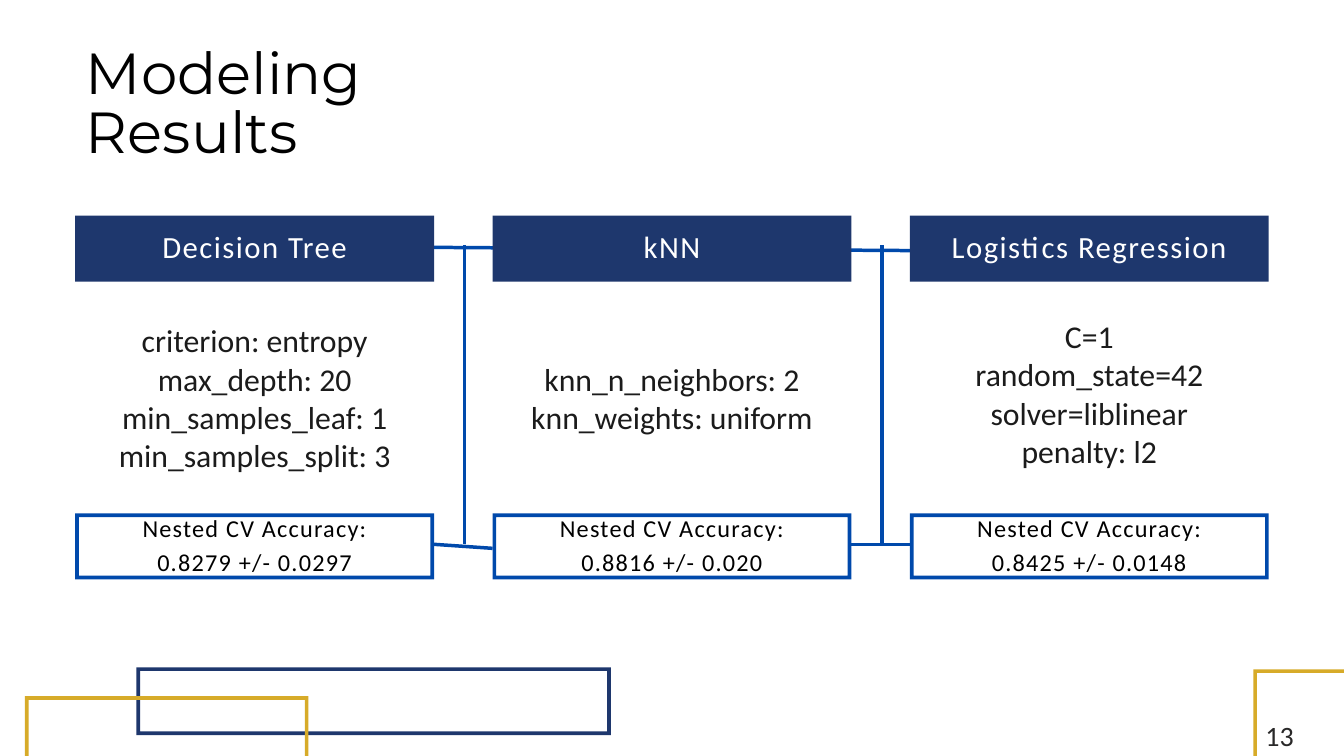
from pptx import Presentation
from pptx.dml.color import RGBColor
from pptx.enum.shapes import MSO_CONNECTOR, MSO_SHAPE
from pptx.enum.text import MSO_ANCHOR, PP_ALIGN
from pptx.oxml.ns import qn
from pptx.util import Inches, Pt
from lxml import etree

RECT, FRAME = MSO_SHAPE.RECTANGLE, MSO_SHAPE.FRAME
STRAIGHT = MSO_CONNECTOR.STRAIGHT
LEFT, CENTER, TOP = PP_ALIGN.LEFT, PP_ALIGN.CENTER, MSO_ANCHOR.TOP

# Grid: 80 columns by 45 rows of square cells
COLS, ROWS, CELL = 80, 45, 0.25
EDGE = 0.22  # frame thickness in cells

NAVY, BLUE, GOLD = "1E376D", "0049AB", "D7AB29"

# name: font size, font, colour, line pitch, alignment, letter spacing
STYLES = {
    "title": (62, "Montserrat", "000000", 63.2, LEFT, 0),
    "head": (33, "Calibri", "FFFFFF", 46.2, CENTER, 1.6),
    "body": (34, "Calibri", "1B1B1B", 40.8, CENTER, 0),
    "score": (26, "Calibri", "000000", 36.4, CENTER, 1.3),
    "page": (30, "Calibri", "292828", 42, LEFT, 0),
}

MODELS = [
    ("Decision Tree", 19.12,
     ["criterion: entropy", "max_depth: 20",
      "min_samples_leaf: 1", "min_samples_split: 3"],
     "0.8279 +/- 0.0297"),
    ("kNN", 21.44,
     ["knn_n_neighbors: 2", "knn_weights: uniform"],
     "0.8816 +/- 0.020"),
    ("Logistics Regression", 18.88,
     ["C=1", "random_state=42", "solver=liblinear", "penalty: l2"],
     "0.8425 +/- 0.0148"),
]
START, WIDTH, PITCH = 4.48, 21.36, 24.84  # model columns
PAD = 0.74                                # text inset in a column


def color(code):
    return RGBColor.from_string(code)


def cells(*counts):
    return [Inches(n * CELL) for n in counts]


class Deck:
    """Holds the text styles and the current slide; lengths are in cells."""

    def __init__(self, styles):
        self.styles = styles
        self.file = Presentation()
        self.file.slide_width, self.file.slide_height = cells(COLS, ROWS)
        self.slide = self.file.slides.add_slide(self.file.slide_layouts[6])

    def line(self, x1, y1, x2, y2):
        link = self.slide.shapes.add_connector(STRAIGHT, *cells(x1, y1, x2, y2))
        link.line.color.rgb = color(BLUE)
        link.line.width = Pt(3.75)
        etree.SubElement(link._element.spPr, qn("a:effectLst"))

    def box(self, x, y, w, h, fill, kind=RECT):
        shape = self.slide.shapes.add_shape(kind, *cells(x, y, w, h))
        shape.shadow.inherit = False
        shape.fill.solid()
        shape.fill.fore_color.rgb = color(fill)
        shape.line.fill.background()
        return shape

    def frame(self, x, y, w, h, fill):
        shape = self.box(x, y, w, h, fill, FRAME)
        shape.adjustments[0] = EDGE / min(w, h)

    def text(self, x, y, w, h, lines, style):
        size, name, tint, pitch, align, gap = self.styles[style]
        area = self.slide.shapes.add_textbox(*cells(x, y, w, h)).text_frame
        form = {"word_wrap": True, "vertical_anchor": TOP, "margin_left": 0,
                "margin_right": 0, "margin_top": 0, "margin_bottom": 0}
        for key, value in form.items():
            setattr(area, key, value)
        for i, words in enumerate(lines):
            para = area.add_paragraph() if i else area.paragraphs[0]
            para.alignment, para.line_spacing = align, Pt(pitch)
            run = para.add_run()
            run.text = words
            for key, value in {"size": Pt(size), "name": name}.items():
                setattr(run.font, key, value)
            run.font.color.rgb = color(tint)
            if gap:
                run._r.get_or_add_rPr().set("spc", str(round(gap * 100)))


def main():
    deck = Deck(STYLES)

    deck.line(25.12, 14.72, 54.88, 14.92)
    deck.line(START + WIDTH, 32.4, START + PITCH, 32.64)
    deck.line(START + PITCH + WIDTH, 32.4, START + 2 * PITCH, 32.4)
    for i in range(2):
        x = 27.66 + i * PITCH
        deck.line(x, 14.6, x, 32.4)

    for i, (name, top, params, score) in enumerate(MODELS):
        x = START + i * PITCH
        inner = WIDTH - 2 * PAD
        deck.box(x, 12.84, WIDTH, 3.92, NAVY)
        deck.frame(x, 30.56, WIDTH, 3.92, BLUE)
        deck.text(x + PAD, 13.16, inner, 2.76, [name], "head")
        deck.text(x, top, WIDTH, 2.32 * len(params), params, "body")
        deck.text(x + PAD, 30.28, inner, 6.68,
                  ["Nested CV Accuracy:", score], "score")

    deck.frame(8.12, 39.72, 28.24, 4.04, NAVY)
    deck.frame(1.48, 41.44, 16.88, 5.04, GOLD)
    deck.frame(74.6, 39.84, 6.84, 7.44, GOLD)
    deck.text(5.12, 2.8, 44.24, 7.16, ["Modeling", "Results"], "title")
    deck.text(75.32, 42.44, 4.68, 2.56, ["13"], "page")

    deck.file.save("out.pptx")


if __name__ == "__main__":
    main()
